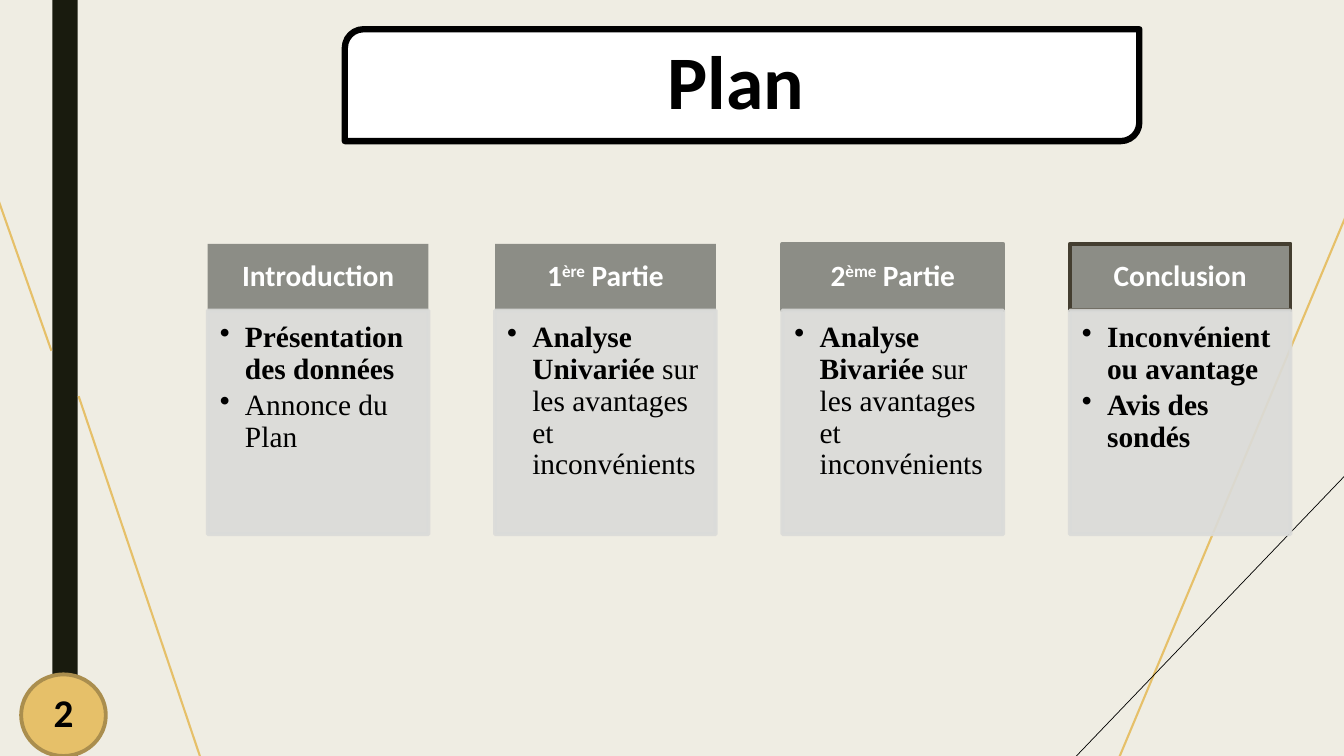
from lxml import etree
from pptx import Presentation
from pptx.dml.color import RGBColor
from pptx.enum import shapes, text
from pptx.oxml import ns
from pptx.util import Inches, Pt

BLACK, WHITE, GOLD = "000000", "FFFFFF", "E6C069"
HEADING_GRAY, PANEL_GRAY = "8C8D86", "DADBD9"
KIND = shapes.MSO_SHAPE

SECTIONS = [
    ([("Introduction", False)], None,
     [[("Présentation des données", True)], [("Annonce du Plan", False)]]),
    ([("1", False), ("ère", True), (" Partie", False)], None,
     [[("Analyse Univariée ", True), ("sur les avantages et inconvénients", False)]]),
    ([("2", False), ("ème", True), (" Partie", False)], HEADING_GRAY,
     [[("Analyse Bivariée ", True), ("sur les avantages et inconvénients", False)]]),
    ([("Conclusion", False)], "443E30",
     [[("Inconvénient ou avantage", True)], [("Avis des sondés", True)]]),
]

RAYS = [
    (2.06, 7.73, 0.78, 3.93, GOLD, 1.5),
    (11.01, 7.73, 13.45, 1.9, GOLD, 1.5),
    (0.51, 3.48, -0.78, -0.19, GOLD, 1.5),
    (10.58, 7.6, 13.98, 4.05, BLACK, 0.5),
]


def color(value):
    return RGBColor.from_string(value)


def add_box(slide, kind, place, fill, line=None, width=2.75):
    box = slide.shapes.add_shape(kind, *map(Inches, place))
    box.shadow.inherit = False
    box.fill.solid()
    box.fill.fore_color.rgb = color(fill)
    if line:
        box.line.color.rgb = color(line)
        box.line.width = Pt(width)
    else:
        box.line.fill.background()
    return box


def set_frame(box, anchor, margins):
    frame = box.text_frame
    frame.word_wrap = True
    frame.vertical_anchor = anchor
    (frame.margin_left, frame.margin_top,
     frame.margin_right, frame.margin_bottom) = map(Inches, margins)
    return frame


def set_font(paragraph, name, size, ink, bold=None):
    font = paragraph.font
    font.name, font.size, font.bold = name, Pt(size), bold
    font.color.rgb = color(ink)


def add_label(box, pieces, size, ink, margins):
    label = set_frame(box, text.MSO_ANCHOR.MIDDLE, margins).paragraphs[0]
    label.alignment = text.PP_ALIGN.CENTER
    label.line_spacing = 0.9
    set_font(label, "Calibri", size, ink, True)
    for words, raised in pieces:
        run = label.add_run()
        run.text = words
        if raised:
            run._r.get_or_add_rPr().set("baseline", "30000")


def add_bullets(box, items):
    frame = set_frame(box, text.MSO_ANCHOR.TOP, (0.12, 0.12, 0.16, 0.18))
    for index, pieces in enumerate(items):
        item = frame.add_paragraph() if index else frame.paragraphs[0]
        item.alignment = text.PP_ALIGN.LEFT
        item.line_spacing = 0.9
        item.space_after = Pt(3)
        properties = item._p.get_or_add_pPr()
        properties.set("marL", str(Inches(0.25)))
        properties.set("indent", str(Inches(-0.25)))
        etree.SubElement(properties, ns.qn("a:buChar")).set("char", "•")
        set_font(item, "Times New Roman", 21, BLACK)
        for words, bold in pieces:
            run = item.add_run()
            run.text = words
            run.font.bold = bold


def make_translucent(box, percent):
    for tint in box._element.spPr.iter(ns.qn("a:srgbClr")):
        etree.SubElement(tint, ns.qn("a:alpha")).set("val", str(percent * 1000))


def add_ray(slide, x1, y1, x2, y2, ink, width):
    ray = slide.shapes.add_connector(
        shapes.MSO_CONNECTOR.STRAIGHT, *map(Inches, (x1, y1, x2, y2)))
    ray.line.color.rgb = color(ink)
    ray.line.width = Pt(width)
    etree.SubElement(ray._element.spPr, ns.qn("a:effectLst"))


def add_section(slide, left, heading, border, items):
    header = add_box(slide, KIND.RECTANGLE, (left, 2.42, 2.19, 0.66),
                     HEADING_GRAY, border)
    add_label(header, heading, 21, WHITE, (0.16, 0.09, 0.16, 0.09))
    panel = add_box(slide, KIND.RECTANGLE, (left, 3.08, 2.19, 2.22),
                    PANEL_GRAY, PANEL_GRAY)
    make_translucent(panel, 90)
    add_bullets(panel, items)


def main():
    deck = Presentation()
    deck.slide_width, deck.slide_height = Inches(13.33), Inches(7.5)
    slide = deck.slides.add_slide(deck.slide_layouts[6])
    slide.background.fill.solid()
    slide.background.fill.fore_color.rgb = color("EFEDE3")

    add_box(slide, KIND.RECTANGLE, (0.52, 0, 0.25, 7.5), "191B0E")
    title = add_box(slide, KIND.ROUND_2_DIAG_RECTANGLE,
                    (3.42, 0.29, 7.88, 1.11), WHITE, BLACK, 4.5)
    add_label(title, [("Plan", False)], 54, BLACK, (0.1, 0.05, 0.22, 0.05))
    page = add_box(slide, KIND.OVAL, (0.21, 6.69, 0.84, 0.81), GOLD, "AA8E4E")
    add_label(page, [("2", False)], 28, BLACK, (0, 0.05, 0, 0.05))

    for ray in RAYS:
        add_ray(slide, *ray)
    for index, section in enumerate(SECTIONS):
        add_section(slide, 2.06 + 2.85 * index, *section)

    deck.save("out.pptx")


if __name__ == "__main__":
    main()
